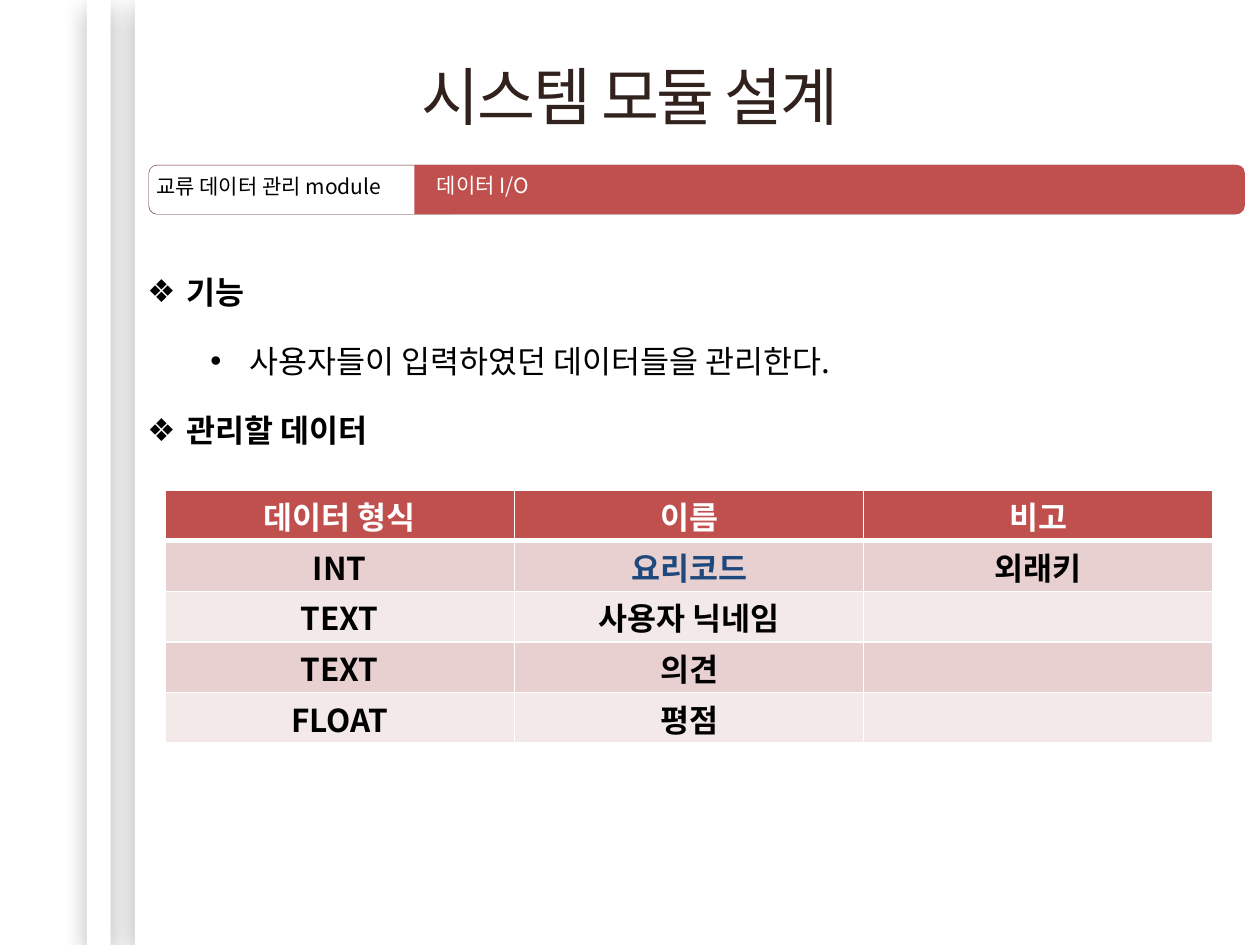
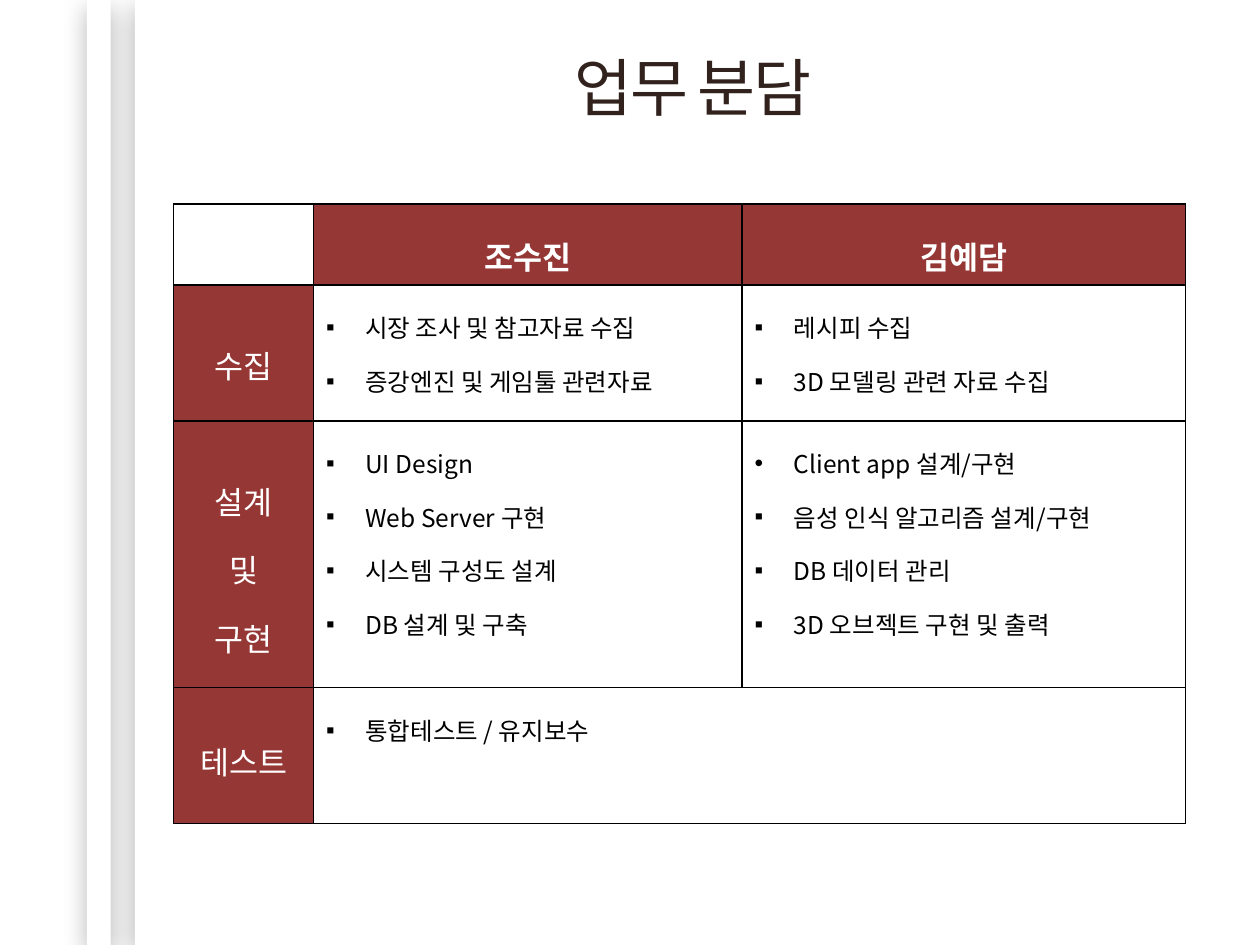
from lxml import etree
from pptx import Presentation
from pptx import util as u
from pptx.dml import color as c
from pptx.enum import shapes, text
from pptx.oxml import ns

FONT = "Noto Sans CJK KR"
RED, DARK_RED, BROWN = "C0504D", "953735", "32221D"
WHITE, BLACK, NAVY = "FFFFFF", "000000", "1F497D"
CENTER, LEFT = text.PP_ALIGN.CENTER, text.PP_ALIGN.LEFT
rgb = c.RGBColor.from_string


def write(frame, content, size=18, color=BLACK, bold=False, align=LEFT, spacing=1.0,
          before=0, bullet=None, indent=0.79, level=0, tracking=0, add=False):
    for number, line in enumerate(content.split("\n")):
        paragraph = frame.add_paragraph() if add or number else frame.paragraphs[0]
        paragraph.alignment, paragraph.line_spacing = align, spacing
        paragraph.space_before, paragraph.level = u.Pt(before), level
        run = paragraph.add_run()
        run.text = line
        run.font.size, run.font.bold, run.font.name = u.Pt(size), bold, FONT
        run.font.color.rgb = rgb(color)
        properties = run.font._element
        etree.SubElement(properties, ns.qn("a:ea"), typeface=FONT)
        if tracking:
            properties.set("spc", str(tracking))
        if bullet:
            mark = bullet[min(number, len(bullet) - 1)]
            layout = paragraph._p.get_or_add_pPr()
            layout.set("marL", str(u.Cm(indent)))
            layout.set("indent", str(-u.Cm(0.79)))
            etree.SubElement(layout, ns.qn("a:buFont"), typeface="Arial")
            etree.SubElement(layout, ns.qn("a:buChar"), char=mark)


def style_cell(cell, fill, border, bottom_width=1):
    properties = cell._tc.get_or_add_tcPr()
    for side in "LRTB":
        width = bottom_width if side == "B" else 1
        line = etree.SubElement(properties, ns.qn(f"a:ln{side}"), w=str(u.Pt(width)))
        solid = etree.SubElement(line, ns.qn("a:solidFill"))
        etree.SubElement(solid, ns.qn("a:srgbClr"), val=border)
    cell.fill.solid()
    cell.fill.fore_color.rgb = rgb(fill)


presentation = Presentation()
presentation.slide_width, presentation.slide_height = u.Cm(25.4), u.Cm(19.05)

slides = []
for heading, left, top in [("시스템 모듈 설계", 1.27, 0.91), ("업무 분담", 2.54, 0.74)]:
    slide = presentation.slides.add_slide(presentation.slide_layouts[5])
    title = slide.shapes.title
    title.left, title.top, title.width, title.height = map(u.Cm, (left, top, 22.86, 2.01))
    title.text_frame.auto_size = text.MSO_AUTO_SIZE.NONE
    title.text_frame.vertical_anchor = text.MSO_ANCHOR.MIDDLE
    write(title.text_frame, heading, size=36, color=BROWN, align=CENTER, tracking=-120)
    for band_left, band_width in [(2.72, 22.68), (1.75, 0.48)]:
        band = slide.shapes.add_shape(shapes.MSO_SHAPE.RECTANGLE, u.Cm(band_left), 0,
                                      u.Cm(band_width), u.Cm(19.05))
        band.fill.solid()
        band.fill.fore_color.rgb = rgb(WHITE)
        band.line.fill.background()
        band.shadow.inherit = False
        effects = band.element.spPr.find(ns.qn("a:effectLst"))
        shadow = etree.SubElement(effects, ns.qn("a:outerShdw"), blurRad=str(u.Pt(15)),
                                  dist=str(u.Pt(5)), dir="5400000", rotWithShape="0")
        shade = etree.SubElement(shadow, ns.qn("a:srgbClr"), val=BLACK)
        etree.SubElement(shade, ns.qn("a:alpha"), val="30000")
        title.element.addprevious(band.element)
    slides.append(slide)
module_slide, work_slide = slides

body = module_slide.shapes.add_textbox(u.Cm(2.72), u.Cm(5.51), u.Cm(22.38), u.Cm(4.88)).text_frame
body.word_wrap = True
write(body, "기능", bold=True, bullet="❖", spacing=0.83)
write(body, "사용자들이 입력하였던 데이터들을 관리한다.", bullet="•", indent=2.06, level=1,
      spacing=0.83, before=21.6, add=True)
write(body, "관리할 데이터", bold=True, bullet="❖", spacing=0.83, before=21.6, add=True)

frame = module_slide.shapes.add_shape(shapes.MSO_SHAPE.ROUNDED_RECTANGLE,
                                      u.Cm(3), u.Cm(3.33), u.Cm(22.07), u.Cm(0.99))
frame.line.color.rgb = rgb("632523")
frame.line.width = u.Pt(0.25)
bar = module_slide.shapes.add_shape(shapes.MSO_SHAPE.ROUND_2_SAME_RECTANGLE,
                                    u.Cm(16.23), u.Cm(-4.55), u.Cm(0.99), u.Cm(16.74))
bar.rotation = 90
bar.line.fill.background()
for shape, fill in [(frame, WHITE), (bar, RED)]:
    shape.fill.solid()
    shape.fill.fore_color.rgb = rgb(fill)
    shape.shadow.inherit = False

for label, left, top, color in [("교류 데이터 관리 module", 2.9, 3.45, BLACK),
                                ("데이터 I/O", 8.56, 3.43, WHITE)]:
    label_frame = module_slide.shapes.add_textbox(
        u.Cm(left), u.Cm(top), u.Cm(6.35), u.Cm(0.76)).text_frame
    label_frame.word_wrap = True
    write(label_frame, label, size=12, color=color, spacing=0.83)

fields = [
    ("데이터 형식", "이름", "비고"),
    ("INT", "요리코드", "외래키"),
    ("TEXT", "사용자 닉네임", ""),
    ("TEXT", "의견", ""),
    ("FLOAT", "평점", ""),
]
field_table = module_slide.shapes.add_table(5, 3, u.Cm(3.33), u.Cm(9.88),
                                            u.Cm(21.12), u.Cm(5.1)).table
for row_index, values in enumerate(fields):
    field_table.rows[row_index].height = u.Cm(1.02)
    header = row_index == 0
    fill = RED if header else ("F4E9E9", "E8D0D0")[row_index % 2]
    for column_index, value in enumerate(values):
        cell = field_table.cell(row_index, column_index)
        cell.margin_top, cell.margin_bottom = u.Cm(0.06), u.Cm(0.04)
        style_cell(cell, fill, WHITE, bottom_width=3 if header else 1)
        color = WHITE if header else NAVY if value == "요리코드" else BLACK
        if value:
            write(cell.text_frame, value, color=color, bold=True, align=CENTER)

work = [
    (1.63, "", 0.13, 1.5, "조수진", "김예담"),
    (2.74, "수집", 1.15, 1.0, "시장 조사 및 참고자료 수집\n증강엔진 및 게임툴 관련자료",
     "레시피 수집\n3D 모델링 관련 자료 수집"),
    (5.38, "설계\n및\n구현", 0.69, 1.5,
     "UI Design\nWeb Server 구현\n시스템 구성도 설계\nDB 설계 및 구축",
     "Client app 설계/구현\n음성 인식 알고리즘 설계/구현\nDB 데이터 관리\n3D 오브젝트 구현 및 출력"),
    (2.74, "테스트", 0.56, 1.5, "통합테스트 / 유지보수", ""),
]
work_table = work_slide.shapes.add_table(4, 3, u.Cm(3.5), u.Cm(4.11),
                                         u.Cm(20.4), u.Cm(12.49)).table
for column, width in zip(work_table.columns, (2.82, 8.64, 8.94)):
    column.width = u.Cm(width)
for row_index, (height, stage, margin, spacing, *tasks) in enumerate(work):
    work_table.rows[row_index].height = u.Cm(height)
    for column_index, value in enumerate([stage, *tasks]):
        cell = work_table.cell(row_index, column_index)
        header, side = row_index == 0, column_index == 0
        style_cell(cell, DARK_RED if header != side else WHITE, BLACK)
        if side:
            cell.margin_top = u.Cm(margin)
        if value and header != side:
            write(cell.text_frame, value, color=WHITE, bold=header, align=CENTER, spacing=spacing)
        elif value:
            marks = "•▪" if value.startswith("Client") else "▪"
            write(cell.text_frame, value, size=14, spacing=1.5, bullet=marks)
work_table.cell(3, 1).merge(work_table.cell(3, 2))

for table in (field_table, work_table):
    table.first_row = table.horz_banding = False

presentation.save("out.pptx")
